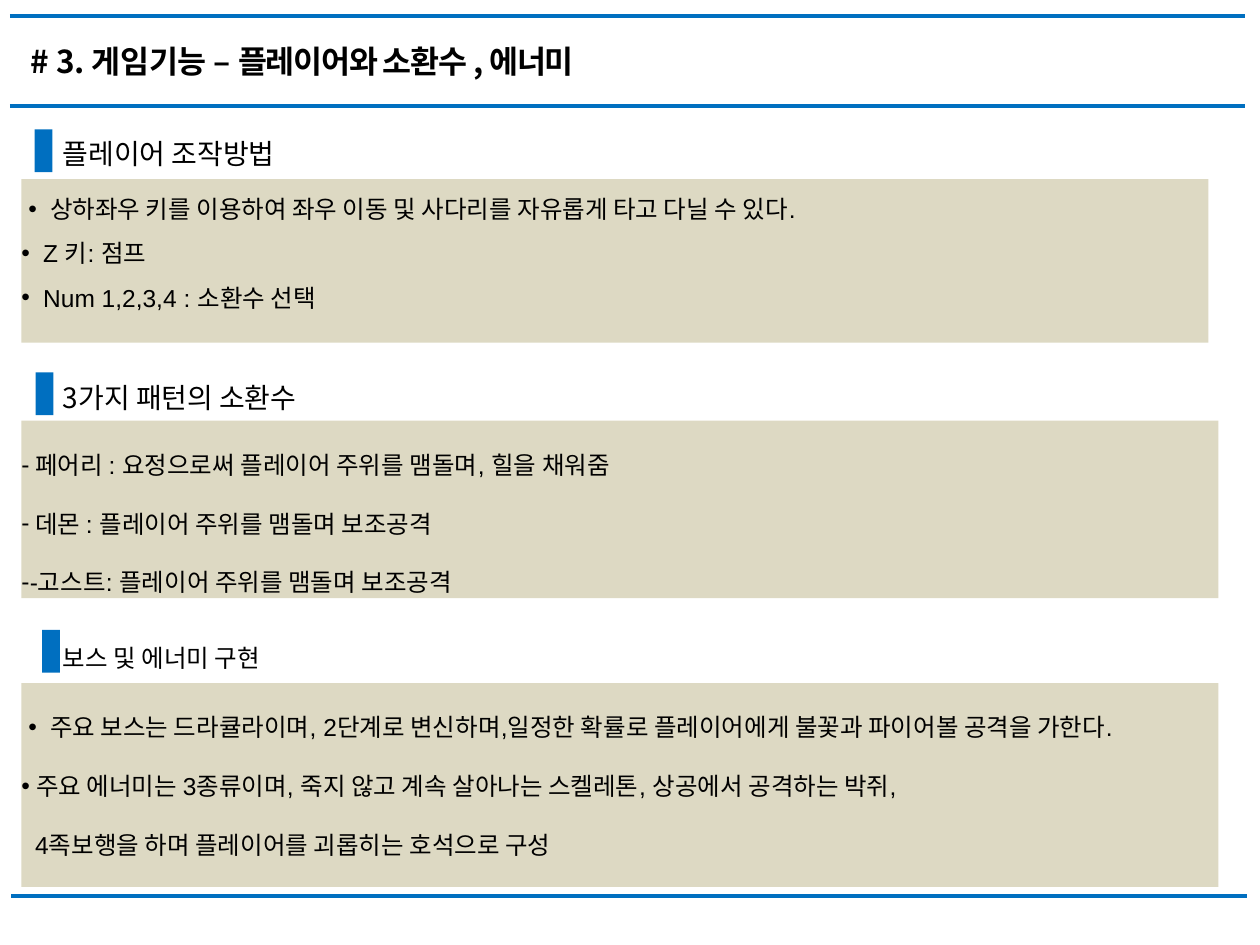
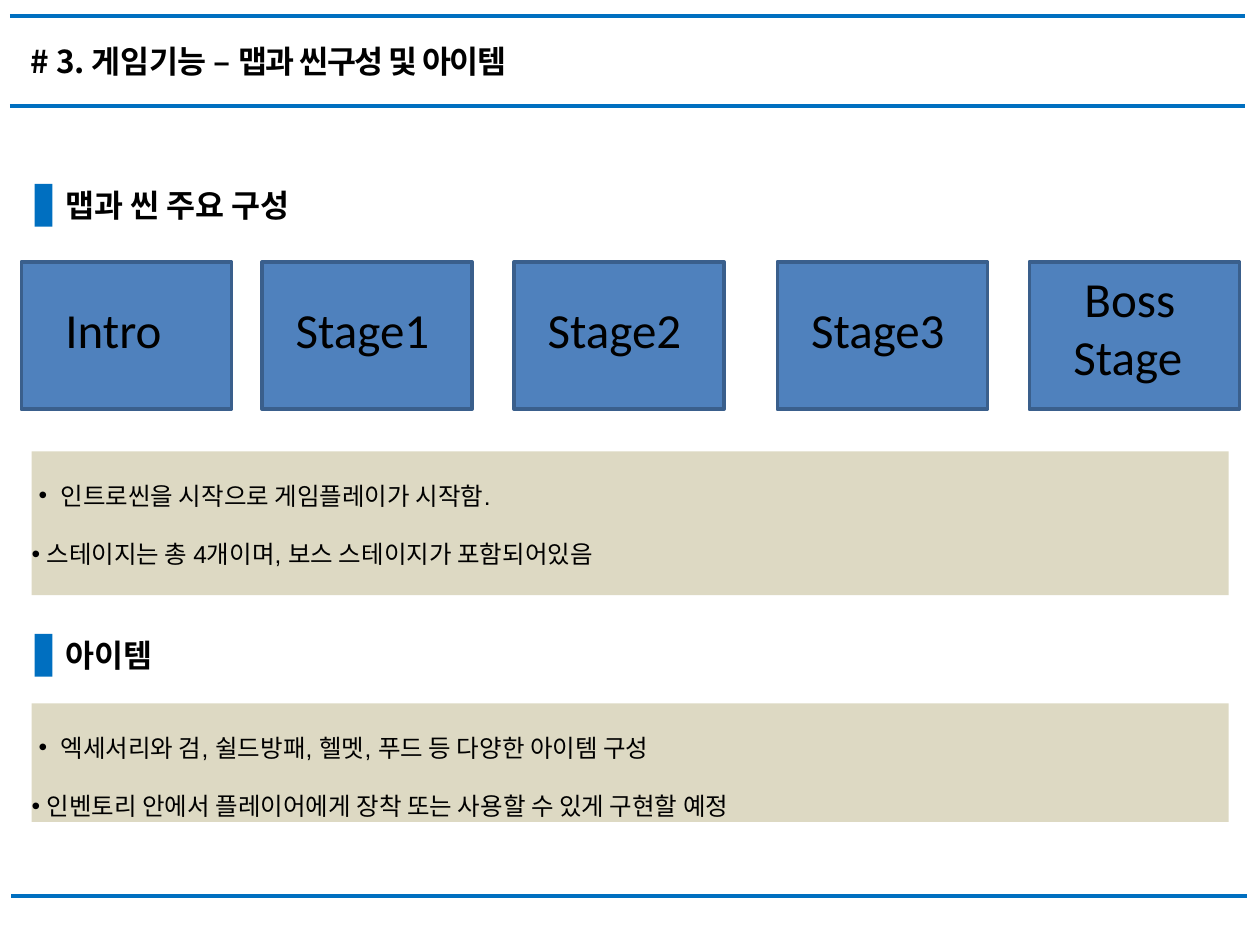
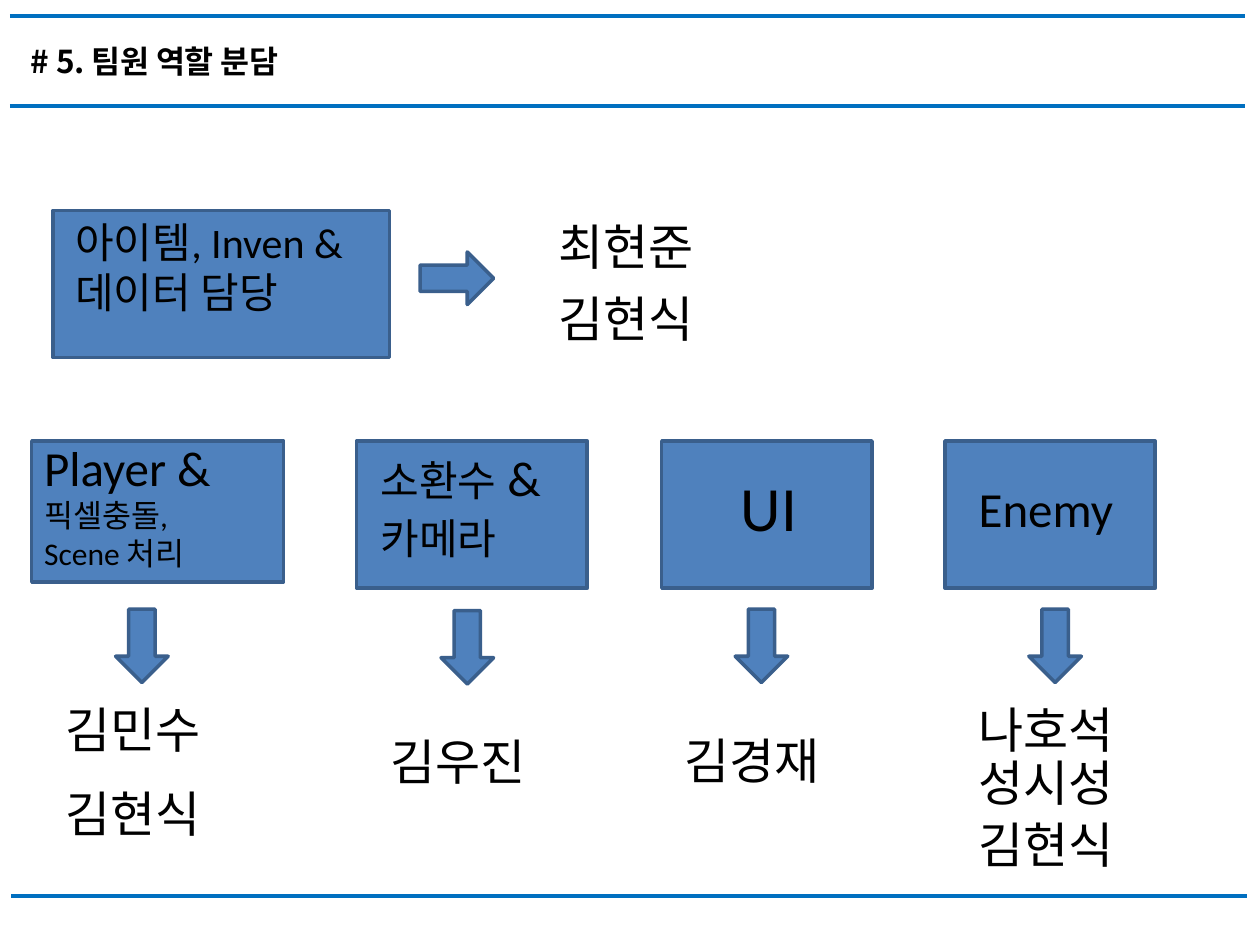
from lxml.etree import SubElement
from pptx import Presentation
from pptx.dml.color import RGBColor
from pptx.enum.shapes import MSO_CONNECTOR, MSO_SHAPE
from pptx.enum.text import MSO_ANCHOR, MSO_AUTO_SIZE, PP_ALIGN
from pptx.oxml.ns import qn
from pptx.util import Cm, Pt

COLORS = {
    "rule": "006FC0",
    "panel": "DDD9C3",
    "tile": "4F81BD",
    "tile_edge": "3A5F8C",
    "ink": "000000",
}
HEADING_FONT, LIST_FONT, LABEL_FONT = "Noto Sans CJK KR", "Arial", "Calibri"
TWO_CONTENT, COMPARISON, TITLE_ONLY = 3, 4, 5
RULES = [(0.2, 0.33), (0.2, 2.13), (0.23, 18.06)]
RULE_LENGTH = 24.9
TILE_HEIGHT = 2.97
LIST_PITCH = 33.5


def color(key):
    return RGBColor.from_string(COLORS[key])


def place(shape, left, top, width, height):
    shape.left, shape.top = Cm(left), Cm(top)
    shape.width, shape.height = Cm(width), Cm(height)


def add_run(paragraph, text, font, size, bold=False, spacing=0):
    """Add a run; spacing is the letter spacing in points."""
    run = paragraph.add_run()
    run.text = text
    run.font.name = font
    run.font.size = Pt(size)
    run.font.bold = bold
    run.font.color.rgb = color("ink")
    properties = run.font._element
    if spacing:
        properties.set("spc", str(round(spacing * 100)))
    if font == HEADING_FONT:
        SubElement(properties, qn("a:ea")).set("typeface", font)


def tight_frame(shape, anchor):
    """Remove the insets and keep the frame at its given size."""
    frame = shape.text_frame
    frame.margin_left = frame.margin_right = 0
    frame.margin_top = frame.margin_bottom = 0
    frame.word_wrap = True
    frame.auto_size = MSO_AUTO_SIZE.NONE
    frame.vertical_anchor = anchor
    return frame


def add_rule(slide, left, top):
    rule = slide.shapes.add_connector(
        MSO_CONNECTOR.STRAIGHT, Cm(left), Cm(top), Cm(left + RULE_LENGTH), Cm(top))
    rule.line.color.rgb = color("rule")
    rule.line.width = Pt(2.25)
    SubElement(rule._element.spPr, qn("a:effectLst"))


def start_slide(deck, layout, title_runs):
    """Add a slide with its title and the three rules."""
    slide = deck.slides.add_slide(deck.slide_layouts[layout])
    title = slide.shapes.title
    place(title, 0.61, 0.84, 24.2, 0.79)
    paragraph = tight_frame(title, MSO_ANCHOR.MIDDLE).paragraphs[0]
    paragraph.alignment = PP_ALIGN.LEFT
    for text, spacing in title_runs:
        add_run(paragraph, text, HEADING_FONT, 18, True, spacing)
    for left, top in RULES:
        add_rule(slide, left, top)
    return slide


def game_title(topic):
    return [("# ", 0), ("3. 게임기능 ", -0.1), ("– ", 0), (topic, -0.7)]


def remove_empty_placeholders(slide):
    for placeholder in list(slide.placeholders):
        if not placeholder.text_frame.text:
            placeholder._element.getparent().remove(placeholder._element)


def add_block(slide, preset, left, top, width, height, fill, edge=None):
    block = slide.shapes.add_shape(preset, Cm(left), Cm(top), Cm(width), Cm(height))
    block.shadow.inherit = False
    block.fill.solid()
    block.fill.fore_color.rgb = color(fill)
    if edge:
        block.line.color.rgb = color(edge)
        block.line.width = Pt(2)
    else:
        block.line.fill.background()
    return block


def add_marker(slide, left, top):
    add_block(slide, MSO_SHAPE.RECTANGLE, left, top, 0.36, 0.86, "rule")


def add_tile(slide, left, top, width, height=TILE_HEIGHT):
    add_block(slide, MSO_SHAPE.RECTANGLE, left, top, width, height, "tile", "tile_edge")


def add_arrow(slide, left, top, rotation=0):
    arrow = add_block(slide, MSO_SHAPE.RIGHT_ARROW, left, top, 1.48, 1.06,
                      "tile", "tile_edge")
    arrow.rotation = rotation


def add_heading(slide, text, top, size):
    box = slide.shapes.add_textbox(Cm(1.27), Cm(top), Cm(6.35), Cm(size * 0.043))
    frame = tight_frame(box, MSO_ANCHOR.MIDDLE)
    add_run(frame.paragraphs[0], text, HEADING_FONT, size)


def add_label(slide, left, top, width, height, lines, bold=False):
    """Add a text box; each line is a list of (text, size) runs."""
    box = slide.shapes.add_textbox(Cm(left), Cm(top), Cm(width), Cm(height))
    frame = box.text_frame
    frame.word_wrap = True
    for number, runs in enumerate(lines):
        paragraph = frame.add_paragraph() if number else frame.paragraphs[0]
        for text, size in runs:
            add_run(paragraph, text, LABEL_FONT, size, bold)


def add_name(slide, name, left, top):
    add_label(slide, left, top, 3.81, 1.45, [[(name, 28)]])


def set_bullet(paragraph, bullet, text_left, bullet_left):
    properties = paragraph._p.get_or_add_pPr()
    properties.set("marL", str(Cm(text_left)))
    properties.set("indent", str(Cm(bullet_left - text_left) if bullet else 0))
    if bullet:
        SubElement(properties, qn("a:buFont")).set("typeface", LIST_FONT)
        SubElement(properties, qn("a:buChar")).set("char", bullet)
    else:
        SubElement(properties, qn("a:buNone"))


def fill_panel(panel, bounds, items, pitch=LIST_PITCH):
    """Turn a body placeholder into a list; items are (bullet, text, text left, bullet left)."""
    place(panel, *bounds)
    panel.fill.solid()
    panel.fill.fore_color.rgb = color("panel")
    frame = tight_frame(panel, MSO_ANCHOR.TOP)
    for number, (bullet, text, text_left, bullet_left) in enumerate(items):
        paragraph = frame.add_paragraph() if number else frame.paragraphs[0]
        paragraph.alignment = PP_ALIGN.LEFT
        paragraph.line_spacing = Pt(pitch)
        paragraph.space_before = paragraph.space_after = Pt(0)
        set_bullet(paragraph, bullet, text_left, bullet_left)
        add_run(paragraph, text, LIST_FONT, 14)


def lead(text):
    return ("•", text, 0.58, 0.14)


def point(text, text_left=0.3):
    return ("•", text, text_left, 0)


def dash(text, text_left=0.28):
    return ("-", text, text_left, 0)


def build_characters(deck):
    slide = start_slide(deck, COMPARISON, game_title("플레이어와 소환수 , 에너미"))
    controls, summons, enemies = list(slide.placeholders)[1:4]
    fill_panel(controls, (0.43, 3.61, 23.93, 3.3), [
        lead("상하좌우 키를 이용하여 좌우 이동 및 사다리를 자유롭게 타고 다닐 수 있다."),
        point("Z 키: 점프", 0.44),
        point("Num 1,2,3,4 : 소환수 선택", 0.44),
    ], 25.3)
    fill_panel(summons, (0.43, 8.48, 24.13, 3.58), [
        dash("페어리 : 요정으로써 플레이어 주위를 맴돌며, 힐을 채워줌"),
        dash("데몬 : 플레이어 주위를 맴돌며 보조공격"),
        dash("-고스트: 플레이어 주위를 맴돌며 보조공격", 0.17),
    ])
    fill_panel(enemies, (0.43, 13.77, 24.13, 4.11), [
        lead("주요 보스는 드라큘라이며, 2단계로 변신하며,일정한 확률로 "
             "플레이어에게 불꽃과 파이어볼 공격을 가한다."),
        point("주요 에너미는 3종류이며, 죽지 않고 계속 살아나는 스켈레톤, "
              "상공에서 공격하는 박쥐,"),
        ("", "4족보행을 하며 플레이어를 괴롭히는 호석으로 구성", 0.28, 0),
    ])
    for text, heading_top, size, marker_left, marker_top in [
        ("플레이어 조작방법", 2.74, 16, 0.7, 2.61),
        ("3가지 패턴의 소환수", 7.67, 16, 0.72, 7.51),
        ("보스 및 에너미 구현", 12.95, 14, 0.85, 12.7),
    ]:
        add_marker(slide, marker_left, marker_top)
        add_heading(slide, text, heading_top, size)
    remove_empty_placeholders(slide)


def build_maps(deck):
    slide = start_slide(deck, TWO_CONTENT, game_title("맵과 씬구성 및 아이템"))
    scenes, items = list(slide.placeholders)[1:3]
    fill_panel(scenes, (0.64, 9.1, 24.13, 2.9), [
        lead("인트로씬을 시작으로 게임플레이가 시작함."),
        point("스테이지는 총 4개이며, 보스 스테이지가 포함되어있음"),
    ])
    fill_panel(items, (0.64, 14.18, 24.13, 2.39), [
        lead("엑세서리와 검, 쉴드방패, 헬멧, 푸드 등 다양한 아이템 구성"),
        point("인벤토리 안에서 플레이어에게 장착 또는 사용할 수 있게 구현할 예정"),
    ])
    for text, top in [("맵과 씬 주요 구성", 3.63), ("아이템", 12.7)]:
        add_marker(slide, 0.7, top + 0.08)
        add_label(slide, 1.07, top, 5.92, 1.02, [[(text, 18)]], bold=True)
    for left, inset, top, lines in [
        (0.43, 0.64, 5.92, ["Intro"]),
        (5.28, 0.43, 5.92, ["Stage1"]),
        (10.36, 0.43, 5.92, ["Stage2"]),
        (15.67, 0.43, 5.92, ["Stage3"]),
        (20.75, 0.64, 5.28, [" Boss", "Stage"]),
    ]:
        add_tile(slide, left, 5.28, 4.24)
        add_label(slide, left + inset, top, 3.39, 0.25 + 1.2 * len(lines),
                  [[(line, 28)] for line in lines])


def build_roles(deck):
    slide = start_slide(deck, TITLE_ONLY, [("# ", 0), ("5. 팀원 역할 분담", -0.1)])
    for tile in [
        (1.07, 4.24, 6.78),
        (0.64, 8.89, 5.08, 2.84),
        (7.19, 8.89, 4.65),
        (13.34, 8.89, 4.24),
        (19.05, 8.89, 4.24),
    ]:
        add_tile(slide, *tile)
    for bounds, lines in [
        ((1.27, 4.24, 10.36, 2.31), [[("아이템, Inven &", 24)], [("데이터 담당", 24)]]),
        ((0.64, 8.69, 5.92, 3), [[("Player &", 28)], [("픽셀충돌,", 18)],
                                 [("Scene 처리", 18)]]),
        ((7.42, 8.89, 4.4, 3.84), [[("소환수", 24), (" &", 28)],
                                   [("카메라", 24), (" ", 28)]]),
        ((14.4, 9.32, 3.38, 1.8), [[(" UI", 36)]]),
        ((19.48, 9.53, 3.38, 2.64), [[("Enemy", 28)]]),
    ]:
        add_label(slide, *bounds, lines)
    add_arrow(slide, 8.47, 5.08)
    for left, top in [(2.12, 12.49), (8.68, 12.52), (14.61, 12.49), (20.53, 12.49)]:
        add_arrow(slide, left, top, 90)
    for name, left, top in [
        ("최현준", 11, 4.24),
        ("김현식", 11, 5.69),
        ("김민수", 1.07, 13.97),
        ("김현식", 1.07, 15.67),
        ("김우진", 7.62, 14.63),
        ("김경재", 13.55, 14.61),
        ("나호석", 19.48, 13.97),
        ("성시성", 19.48, 15.04),
        ("김현식", 19.48, 16.3),
    ]:
        add_name(slide, name, left, top)


def main():
    deck = Presentation()
    deck.slide_width, deck.slide_height = Cm(25.4), Cm(19.05)
    build_characters(deck)
    build_maps(deck)
    build_roles(deck)
    deck.save("out.pptx")


if __name__ == "__main__":
    main()
